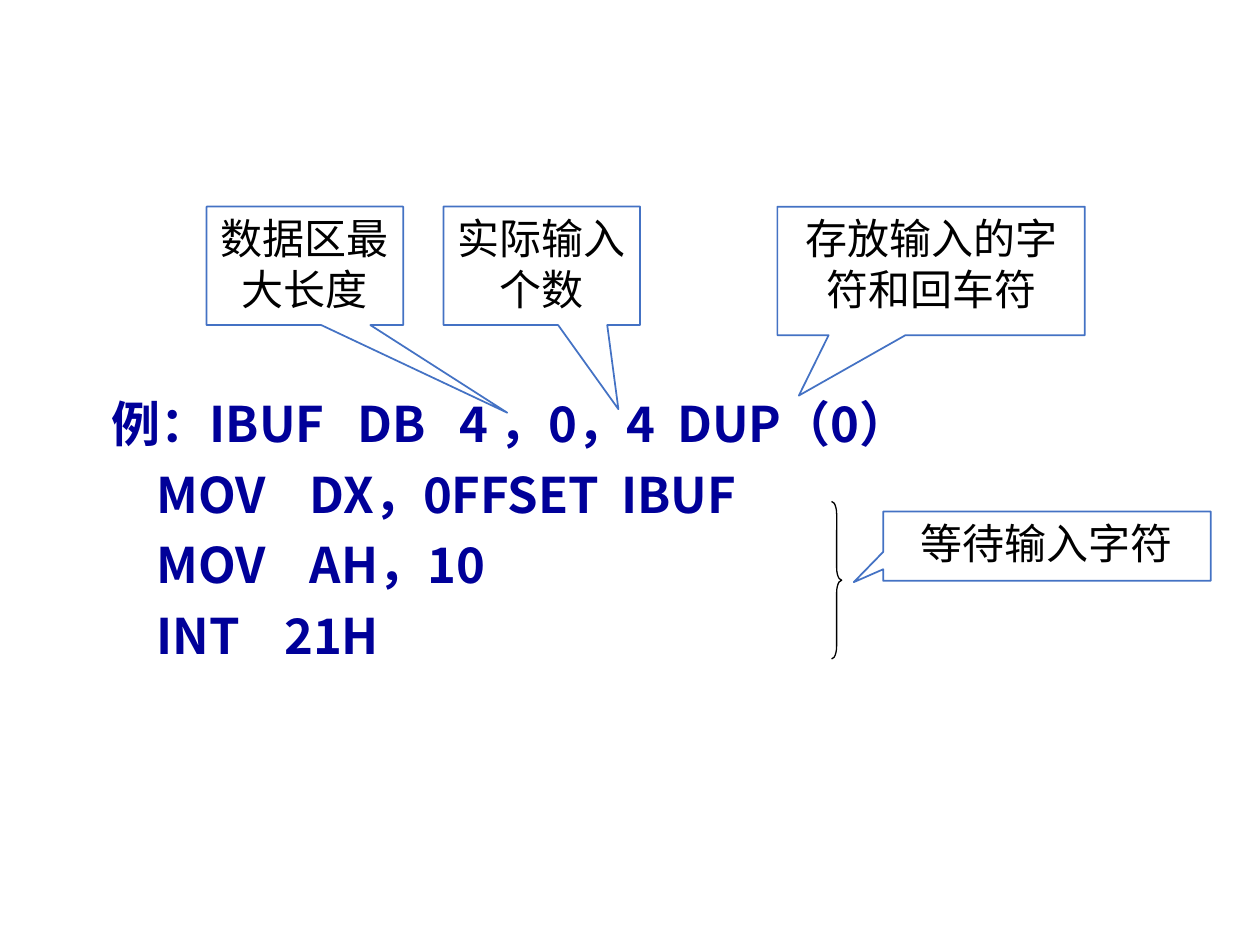
from pptx import Presentation
from pptx.dml.color import RGBColor
from pptx.enum.shapes import MSO_SHAPE
from pptx.enum.text import MSO_ANCHOR, PP_ALIGN
from pptx.oxml.ns import qn
from pptx.util import Inches, Pt
from lxml.etree import SubElement

FONT = "Noto Sans CJK SC"
CODE = [
    "例：IBUF   DB   4 ，0，4  DUP（0）",
    "    MOV    DX，0FFSET  IBUF",
    "    MOV    AH，10",
    "    INT    21H",
]
TOP = 1.64  # shared top edge of the three operand callouts
# text, (left, top, width, height), pointer tip as shares of the box from its centre
CALLOUTS = [
    ("等待输入字符", (7.01, 4.06, 2.6, 0.55), (-0.59, 0.52)),
    ("数据区最大长度", (1.64, TOP, 1.56, 0.94), (1.03, 1.24)),
    ("实际输入个数", (3.52, TOP, 1.56, 0.94), (0.39, 1.21)),
    ("存放输入的字符和回车符", (6.17, TOP, 2.44, 1.02), (-0.43, 0.97)),
]
BRACE = (6.6, 3.98, 0.08, 1.25)


def color(hex_value):
    return RGBColor.from_string(hex_value)


def write(p, text, size, hex_value, bold=False):
    p.text = text
    p.font.name, p.font.size, p.font.bold = FONT, Pt(size), bold
    p.font.color.rgb = color(hex_value)
    # Chinese characters take their face from the East Asian font slot
    for r in p.runs:
        SubElement(r._r.get_or_add_rPr(), qn("a:ea"), typeface=FONT)


def add_outline(s, kind, box, adjustments, line, width):
    sp = s.shapes.add_shape(kind, *map(Inches, box))
    sp.shadow.inherit = False
    for i, value in enumerate(adjustments):
        sp.adjustments[i] = value
    sp.line.color.rgb = color(line)
    sp.line.width = Pt(width)
    return sp


prs = Presentation()
prs.slide_width, prs.slide_height = Inches(10), Inches(7.5)
s = prs.slides.add_slide(prs.slide_layouts[6])

tf = s.shapes.add_textbox(*map(Inches, (0.79, 3.13, 8.66, 3.9))).text_frame
tf.word_wrap = True
for i, text in enumerate(CODE):
    p = tf.add_paragraph() if i else tf.paragraphs[0]
    p.line_spacing = 0.9
    if i:
        p.space_before = Pt(10)
    write(p, text, 28, "000099", bold=True)

brace = add_outline(s, MSO_SHAPE.RIGHT_BRACE, BRACE, (1.25, 0.5), "000000", 0.75)
brace.fill.background()

for text, box, tip in CALLOUTS:
    sp = add_outline(s, MSO_SHAPE.RECTANGULAR_CALLOUT, box, tip, "4472C4", 1)
    sp.fill.solid()
    sp.fill.fore_color.rgb = color("FFFFFF")
    tf = sp.text_frame
    tf.word_wrap = True
    tf.vertical_anchor = MSO_ANCHOR.TOP
    p = tf.paragraphs[0]
    p.alignment = PP_ALIGN.CENTER
    write(p, text, 24, "000000")

prs.save("out.pptx")
